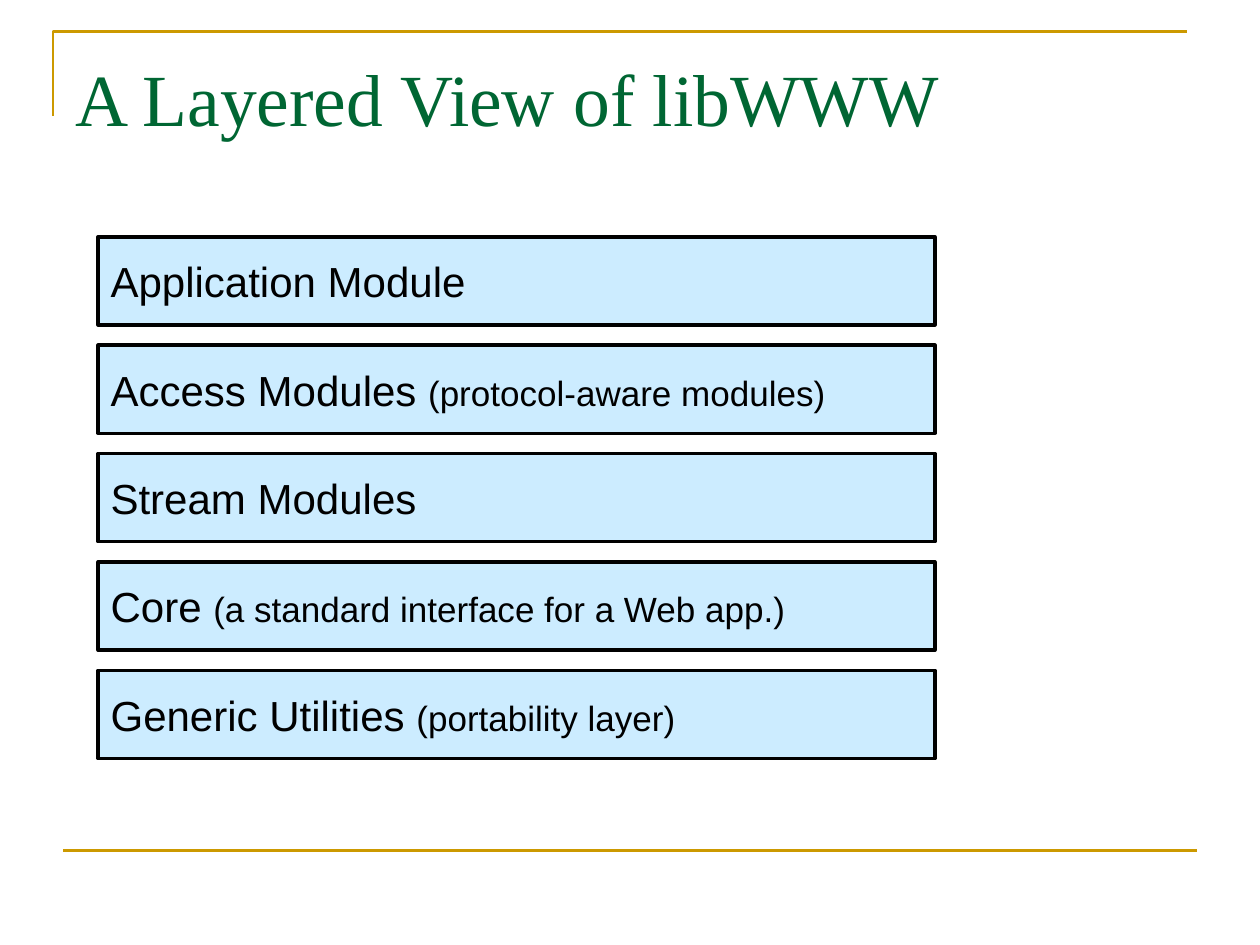
import pptx
import pptx.util
import pptx.dml.color
import pptx.enum.shapes
import pptx.enum.text
import pptx.oxml.ns
import lxml.etree

Inches, Pt = pptx.util.Inches, pptx.util.Pt
ANCHOR = pptx.enum.text.MSO_ANCHOR

# Content: layers from top to bottom, each with an optional remark
TITLE = "A Layered View of libWWW"
LAYERS = [
    ("Application Module", ""),
    ("Access Modules ", "(protocol-aware modules)"),
    ("Stream Modules", ""),
    ("Core ", "(a standard interface for a Web app.)"),
    ("Generic Utilities ", "(portability layer)"),
]
GOLD, GREEN, PALE_BLUE, BLACK = "CC9900", "006633", "CCECFF", "000000"
LEFT, TOP, WIDTH, HEIGHT, PITCH = 0.78, 1.88, 6.64, 0.7, 0.86


def rgb(value):
    return pptx.dml.color.RGBColor.from_string(value)


def set_line(sp, color, width):
    sp.line.color.rgb = rgb(color)
    sp.line.width = Pt(width)


def add_run(p, text, size, font, color):
    r = p.add_run()
    r.text = text
    r.font.size = Pt(size)
    r.font.name = font
    r.font.color.rgb = rgb(color)


def set_frame(tf, anchor, top_inset=0.05):
    tf.word_wrap = True
    tf.vertical_anchor = anchor
    tf.margin_left = tf.margin_right = Inches(0.1)
    tf.margin_top, tf.margin_bottom = Inches(top_inset), Inches(0.05)
    p = tf.paragraphs[0]
    p.alignment = pptx.enum.text.PP_ALIGN.LEFT
    return p


prs = pptx.Presentation()
prs.slide_width, prs.slide_height = Inches(10), Inches(7.5)
shapes = prs.slides.add_slide(prs.slide_layouts[6]).shapes

# Corner rule around the title
builder = shapes.build_freeform(Inches(0.42), Inches(0.92))
builder.add_line_segments(
    [(Inches(0.42), Inches(0.25)), (Inches(9.42), Inches(0.25))], close=False)
corner = builder.convert_to_shape()
corner.shadow.inherit = False
corner.fill.background()
set_line(corner, GOLD, 1.5)

# Bottom rule
rule = shapes.add_connector(pptx.enum.shapes.MSO_CONNECTOR.STRAIGHT,
                            Inches(0.5), Inches(6.75), Inches(9.5), Inches(6.75))
set_line(rule, GOLD, 1.5)
lxml.etree.SubElement(rule._element.spPr, pptx.oxml.ns.qn("a:effectLst"))

# Title
title = shapes.add_textbox(Inches(0.5), Inches(0.3), Inches(9), Inches(1.25))
p = set_frame(title.text_frame, ANCHOR.TOP, top_inset=0.12)
add_run(p, TITLE, 42, "Times New Roman", GREEN)

# Stack of layers
for i, (name, remark) in enumerate(LAYERS):
    sp = shapes.add_shape(pptx.enum.shapes.MSO_SHAPE.RECTANGLE, Inches(LEFT),
                          Inches(TOP + i * PITCH), Inches(WIDTH), Inches(HEIGHT))
    sp.shadow.inherit = False
    sp.fill.solid()
    sp.fill.fore_color.rgb = rgb(PALE_BLUE)
    set_line(sp, BLACK, 2)
    p = set_frame(sp.text_frame, ANCHOR.MIDDLE)
    add_run(p, name, 24, "Arial", BLACK)
    if remark:
        add_run(p, remark, 20, "Arial", BLACK)

prs.save("out.pptx")
